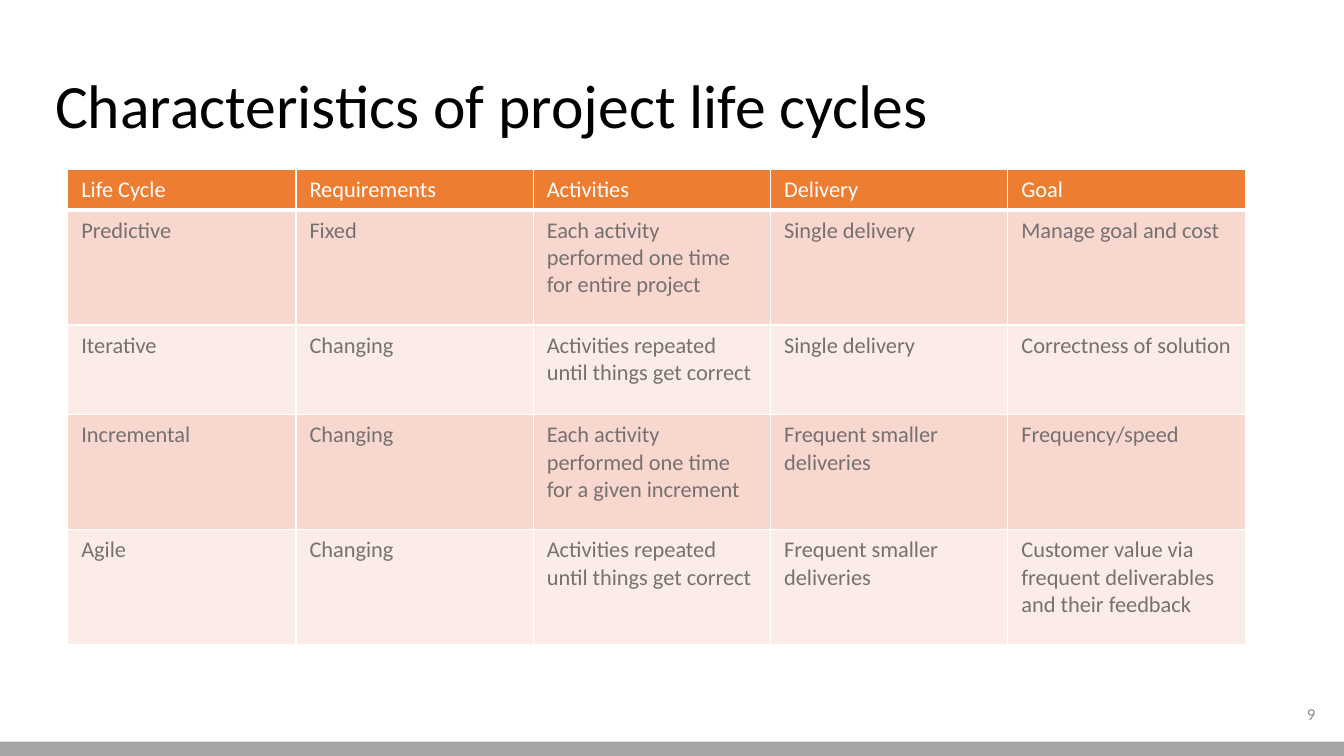
from lxml import etree
from pptx import Presentation
from pptx.dml.color import RGBColor
from pptx.enum.shapes import MSO_SHAPE
from pptx.enum.text import MSO_ANCHOR, PP_ALIGN
from pptx.oxml.ns import qn
from pptx.util import Cm, Pt

RECT = MSO_SHAPE.RECTANGLE
TOP, MIDDLE = MSO_ANCHOR.TOP, MSO_ANCHOR.MIDDLE
LEFT, RIGHT = PP_ALIGN.LEFT, PP_ALIGN.RIGHT
FONT = "Calibri"
COLORS = {
    "title": "000000", "number": "8C8C8C", "bar": "A5A5A5",
    "header": "ED7D31", "band_dark": "F8D7CE", "band_light": "FCECE8",
    "white": "FFFFFF", "body": "767171",
}
ROWS = [
    ["Life Cycle", "Requirements", "Activities", "Delivery", "Goal"],
    ["Predictive", "Fixed", "Each activity performed one time for entire project",
     "Single delivery", "Manage goal and cost"],
    ["Iterative", "Changing", "Activities repeated until things get correct",
     "Single delivery", "Correctness of solution"],
    ["Incremental", "Changing", "Each activity performed one time for a given increment",
     "Frequent smaller deliveries", "Frequency/speed"],
    ["Agile", "Changing", "Activities repeated until things get correct",
     "Frequent smaller deliveries",
     "Customer value via frequent deliverables and their feedback"],
]
COL_WIDTHS = [5.75] + [5.98] * 4
ROW_HEIGHTS = [1.02, 2.9, 2.26, 2.9, 2.9]


def write(tf, text, size, color, margins, anchor=TOP, align=LEFT):
    tf.word_wrap = True
    tf.vertical_anchor = anchor
    tf.margin_left = tf.margin_right = tf.margin_top = tf.margin_bottom = Cm(margins)
    p = tf.paragraphs[0]
    p.text = text
    p.alignment = align
    p.font.name = FONT
    p.font.size = Pt(size)
    p.font.color.rgb = RGBColor.from_string(COLORS[color])
    return p


def add_borders(cell, bottom):
    tcPr = cell._tc.get_or_add_tcPr()
    for side, width in (("lnL", 1), ("lnR", 1), ("lnT", 1), ("lnB", bottom)):
        ln = etree.SubElement(tcPr, qn("a:" + side), w=str(Pt(width)))
        fill = etree.SubElement(ln, qn("a:solidFill"))
        etree.SubElement(fill, qn("a:srgbClr"), val=COLORS["white"])


prs = Presentation()
prs.slide_width, prs.slide_height = Cm(33.87), Cm(19.05)
s = prs.slides.add_slide(prs.slide_layouts[5])

# Bottom bar
bar = s.shapes.add_shape(RECT, 0, Cm(18.69), prs.slide_width, Cm(0.36))
bar.shadow.inherit = False
bar.fill.solid()
bar.fill.fore_color.rgb = RGBColor.from_string(COLORS["bar"])
bar.line.fill.background()

# Title
title = s.shapes.title
title.left, title.top, title.width, title.height = Cm(1.14), Cm(1.65), Cm(31.55), Cm(2.41)
p = write(title.text_frame, "Characteristics of project life cycles", 44, "title", 0.25)
p.line_spacing = 0.9

# Slide number
sp = s.shapes.add_textbox(Cm(31.37), Cm(17.27), Cm(2.03), Cm(1.45))
write(sp.text_frame, "9", 12, "number", 0.25, MIDDLE, RIGHT)

# Life cycle table
table = s.shapes.add_table(len(ROWS), len(COL_WIDTHS), Cm(1.71), Cm(4.27),
                           Cm(sum(COL_WIDTHS)), Cm(sum(ROW_HEIGHTS))).table
for col, width in zip(table.columns, COL_WIDTHS):
    col.width = Cm(width)
for i, (row, height) in enumerate(zip(table.rows, ROW_HEIGHTS)):
    row.height = Cm(height)
    band = "header" if i == 0 else "band_dark" if i % 2 else "band_light"
    for cell, text in zip(row.cells, ROWS[i]):
        p = cell.text_frame.paragraphs[0]
        p.text = text
        p.font.name = FONT
        p.font.size = Pt(16)
        p.font.bold = False
        p.font.color.rgb = RGBColor.from_string(COLORS["body" if i else "white"])
        cell.margin_left = cell.margin_right = Cm(0.34)
        cell.margin_top = cell.margin_bottom = Cm(0.17)
        add_borders(cell, 1 if i else 3)
        cell.fill.solid()
        cell.fill.fore_color.rgb = RGBColor.from_string(COLORS[band])

prs.save("out.pptx")
